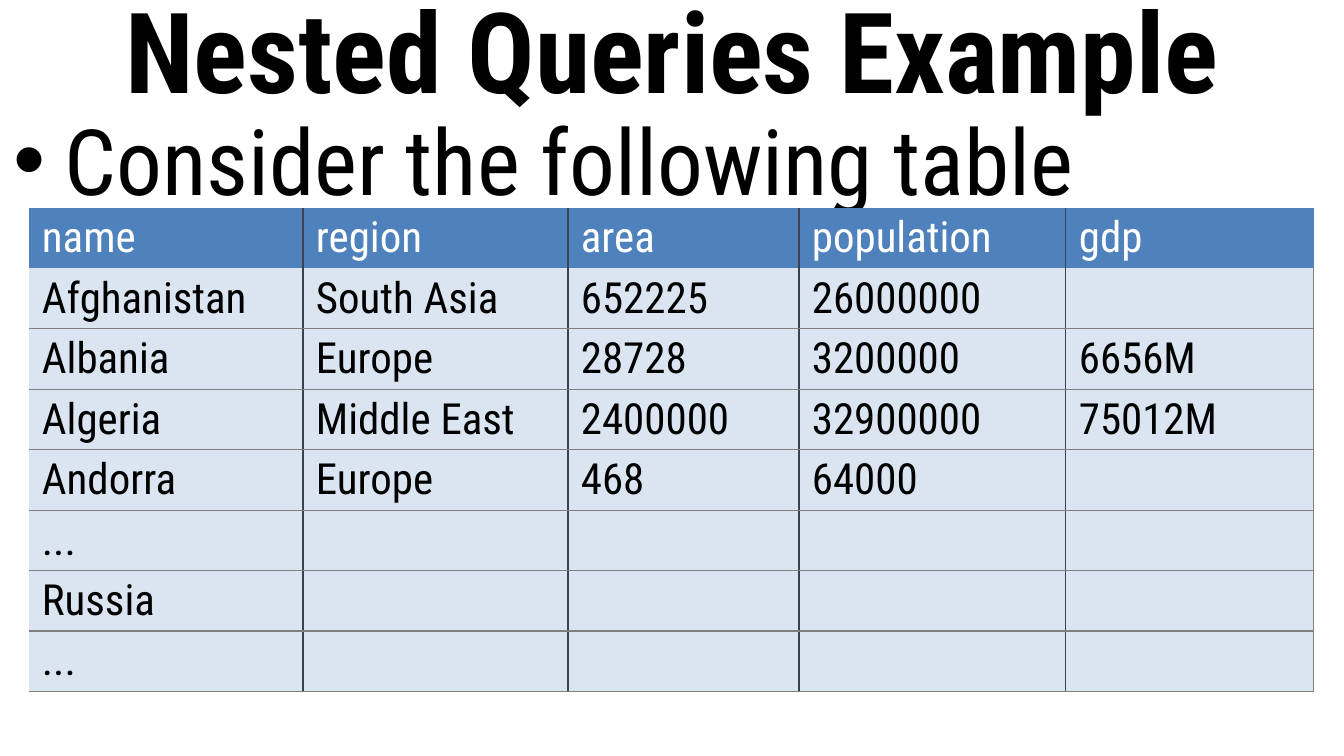
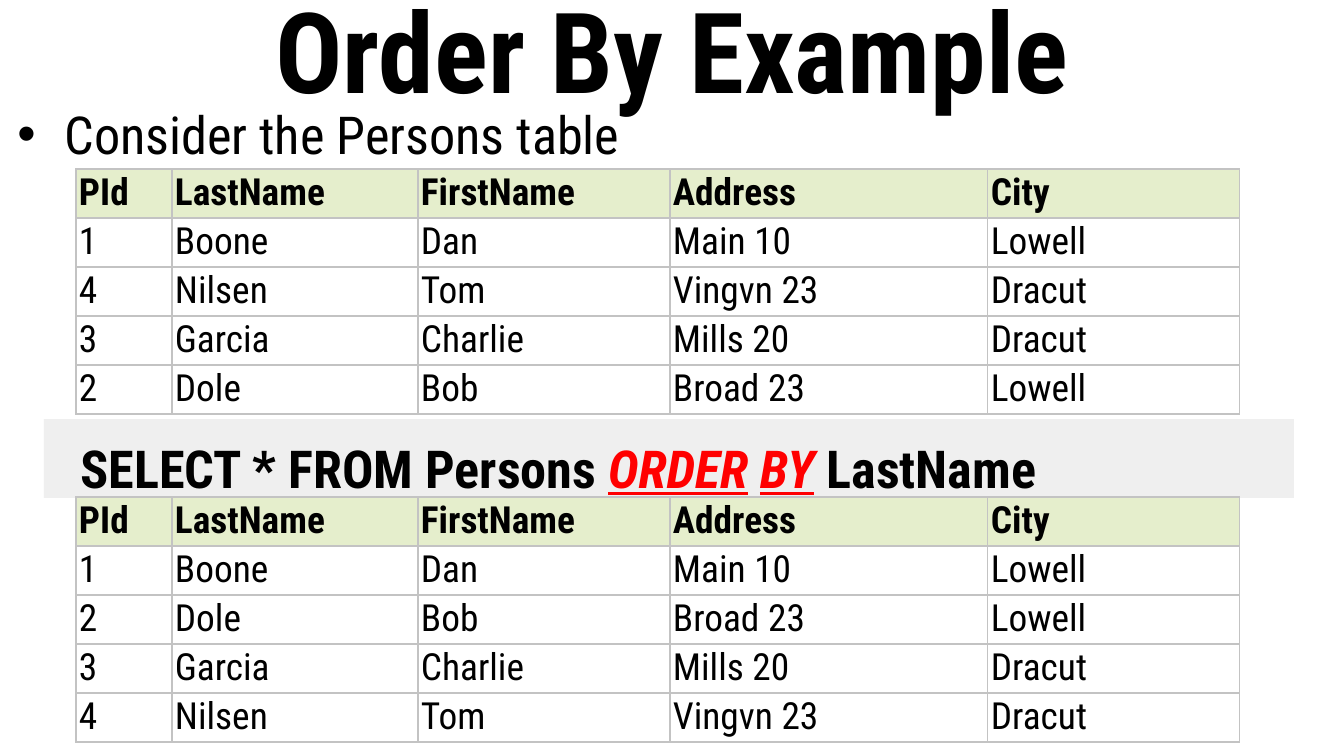
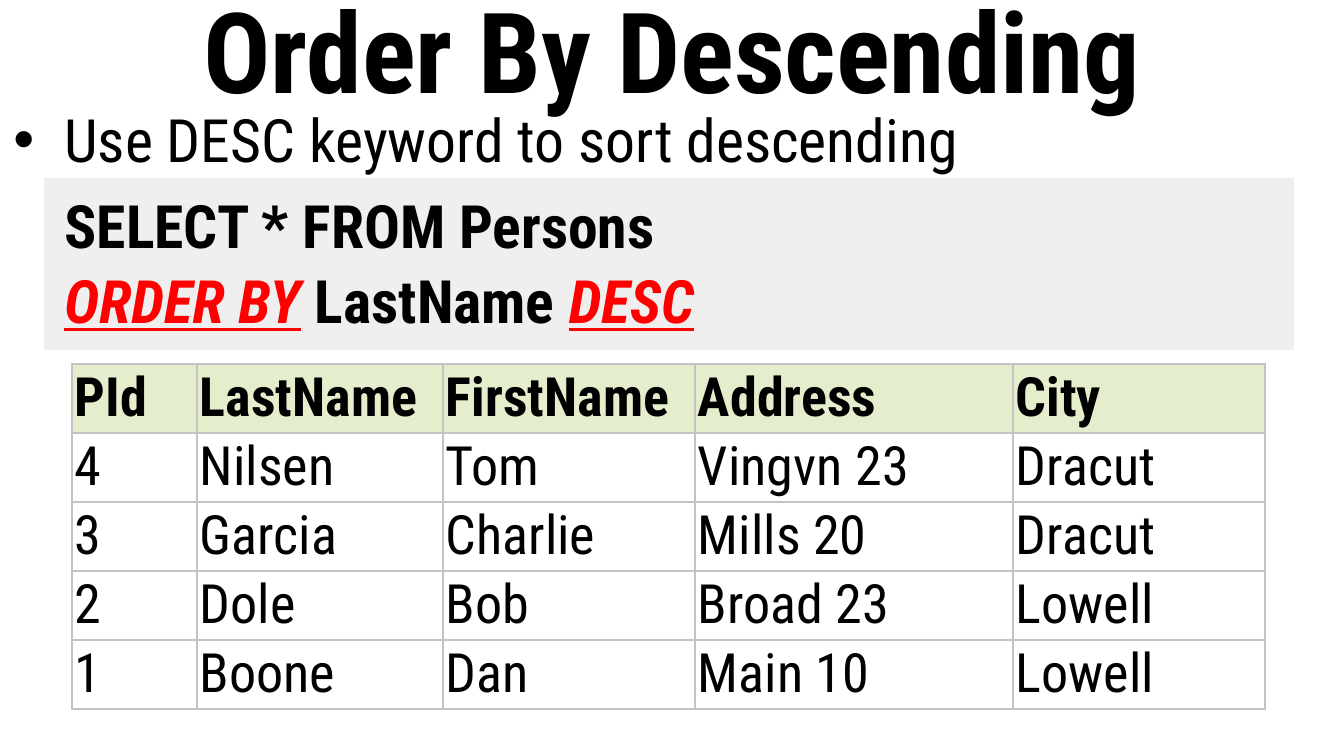
from dataclasses import dataclass
from typing import NamedTuple

from pptx import Presentation
from pptx.dml.color import RGBColor as Rgb
from pptx.enum.shapes import MSO_SHAPE as Shape
from pptx.enum.text import MSO_ANCHOR as Anchor, MSO_AUTO_SIZE as Fit, PP_ALIGN as Align
from pptx.oxml.ns import qn
from pptx.oxml.xmlchemy import OxmlElement as Node
from pptx.util import Emu, Pt

# Shared look
HUES = {
    "ink": "000000", "paper": "FFFFFF", "bar": "EFEFEF", "key": "FF0000",
    "blue": "4F81BD", "pale": "DAE5F1", "dark": "3B434E", "gray": "808080",
    "lime": "E5EECC", "rule": "C3C3C3",
}
FONT = "Roboto Condensed"
SCALE = 914400 / 134.4
WIDE, HIGH, HEAD = 1344, 756, 93
INDENT = 51
LEAD = 1.04
PLAIN = "{2D5ABB26-0587-4C30-8999-92F81FD0307C}"


class Span(NamedTuple):
    text: str
    key: bool = False
    line: bool = True


@dataclass
class Look:
    """Format of one kind of table."""
    size: int
    row: int
    pad: tuple[int, int]
    top: str
    body: str
    ink: str
    bold: bool
    anchor: Anchor
    grid: bool


@dataclass
class Grid:
    """One table: place, columns and rows, header first."""
    left: int
    top: int
    cols: list[int]
    rows: list[tuple[str, ...]]
    look: Look


def px(num: float) -> Emu:
    return Emu(round(num * SCALE))


def tint(name: str) -> Rgb:
    return Rgb.from_string(HUES[name])


def write(para, text: str, *, size: int, hue: str = "ink", bold: bool = False,
          slant: bool = False, line: bool = False) -> None:
    run = para.add_run()
    run.text = text
    font = run.font
    font.name, font.size, font.bold = FONT, Pt(size), bold
    font.italic, font.underline = slant, line
    font.color.rgb = tint(hue)


def place(shape, top: int, high: int) -> None:
    shape.left, shape.top = px(0), px(top)
    shape.width, shape.height = px(WIDE), px(high)
    shape.text_frame.auto_size = Fit.NONE


def style(para, left: int, first: int, before: float, dot: bool) -> None:
    """Set spacing and indent, with or without a bullet."""
    para.line_spacing, para.space_before = LEAD, Pt(before)
    prop = para._p.get_or_add_pPr()
    prop.set("marL", str(px(left)))
    prop.set("indent", str(px(first)))
    if not dot:
        prop.append(Node("a:buNone"))
        return
    color, fill, mark = Node("a:buClr"), Node("a:srgbClr"), Node("a:buChar")
    fill.set("val", HUES["ink"])
    color.append(fill)
    mark.set("char", "•")
    prop.extend([color, mark])


def start(deck, title: str, text: str, size: int, first: int):
    """Add a slide with its title and one bullet."""
    slide = deck.slides.add_slide(deck.slide_layouts[1])
    head, body = slide.shapes.title, slide.placeholders[1]
    place(head, 0, HEAD)
    head.text_frame.vertical_anchor = Anchor.MIDDLE
    para = head.text_frame.paragraphs[0]
    para.alignment, para.line_spacing = Align.CENTER, LEAD
    write(para, title, size=60, bold=True)
    place(body, HEAD, HIGH - HEAD)
    para = body.text_frame.paragraphs[0]
    style(para, INDENT, -first, 0, True)
    write(para, text, size=size)
    return slide


def query(slide, top: int, high: int, lines: list[list[Span]], *,
          size: int, left: int, before: float) -> None:
    """Draw a gray bar behind the body and write the query in the body."""
    bar = slide.shapes.add_shape(Shape.RECTANGLE, px(44), px(top), px(1250), px(high))
    bar.shadow.inherit = False
    bar.fill.solid()
    bar.fill.fore_color.rgb = tint("bar")
    bar.line.fill.background()
    slide.shapes.title.element.addprevious(bar.element)
    para = slide.placeholders[1].text_frame.add_paragraph()
    style(para, left, 0, before, False)
    for num, spans in enumerate(lines):
        if num:
            para.add_line_break()
        for span in spans:
            write(para, span.text, size=size, bold=True, slant=span.key,
                  line=span.key and span.line, hue="key" if span.key else "ink")


def edge(cell, sides: dict[str, str]) -> None:
    """Put cell borders ahead of the fill, in schema order."""
    prop = cell._tc.get_or_add_tcPr()
    for spot, side in enumerate(s for s in "LRTB" if s in sides):
        line, fill, color = Node(f"a:ln{side}"), Node("a:solidFill"), Node("a:srgbClr")
        line.set("w", str(Pt(0.75)))
        color.set("val", HUES[sides[side]])
        fill.append(color)
        line.append(fill)
        prop.insert(spot, line)


def sides(look: Look, row: int, col: int, last: int) -> dict[str, str]:
    if look.grid:
        return dict.fromkeys("LRTB", "rule")
    out = {}
    if col:
        out["L"] = "dark"
    if col < last:
        out["R"] = "dark"
    elif row:
        out["R"] = "gray"
    if row > 1:
        out["T"] = "gray"
    if row:
        out["B"] = "gray"
    return out


def draw(slide, grid: Grid) -> None:
    look, cols, rows = grid.look, grid.cols, grid.rows
    frame = slide.shapes.add_table(
        len(rows), len(cols), px(grid.left), px(grid.top),
        px(sum(cols)), px(look.row * len(rows)))
    frame.element.find(".//" + qn("a:tableStyleId")).text = PLAIN
    table = frame.table
    table.horz_banding = False
    for col, wide in zip(table.columns, cols):
        col.width = px(wide)
    for r, texts in enumerate(rows):
        table.rows[r].height = px(look.row)
        for c, text in enumerate(texts):
            cell = table.cell(r, c)
            cell.margin_left = cell.margin_right = px(look.pad[0])
            cell.margin_top = cell.margin_bottom = px(look.pad[1])
            cell.vertical_anchor = look.anchor
            cell.fill.solid()
            cell.fill.fore_color.rgb = tint(look.body if r else look.top)
            edge(cell, sides(look, r, c, len(cols) - 1))
            if text:
                write(cell.text_frame.paragraphs[0], text, size=look.size,
                      hue="ink" if r else look.ink, bold=look.bold and not r)


def lime(size: int, row: int) -> Look:
    return Look(size, row, (3, 2), "lime", "paper", "ink", True, Anchor.TOP, True)


# Data
LANDS = [
    ("name", "region", "area", "population", "gdp"),
    ("Afghanistan", "South Asia", "652225", "26000000", ""),
    ("Albania", "Europe", "28728", "3200000", "6656M"),
    ("Algeria", "Middle East", "2400000", "32900000", "75012M"),
    ("Andorra", "Europe", "468", "64000", ""),
    *((name, "", "", "", "") for name in ("...", "Russia", "...")),
]
FIELDS = ("PId", "LastName", "FirstName", "Address", "City")
FOLK = [
    ("1", "Boone", "Dan", "Main 10", "Lowell"),
    ("4", "Nilsen", "Tom", "Vingvn 23", "Dracut"),
    ("3", "Garcia", "Charlie", "Mills 20", "Dracut"),
    ("2", "Dole", "Bob", "Broad 23", "Lowell"),
]
RANKED = sorted(FOLK, key=lambda one: one[1])
REST = [246, 252, 318, 252]

deck = Presentation()
deck.slide_width, deck.slide_height = px(WIDE), px(HIGH)

# Slide 1: nested queries
slide = start(deck, "Nested Queries Example", "Consider the following table", 49, 66)
blue = Look(23, 60, (13, 5), "blue", "pale", "paper", False, Anchor.MIDDLE, False)
draw(slide, Grid(29, 208, [274, 265, 231, 267, 248], LANDS, blue))

# Slide 2: order by
slide = start(deck, "Order By Example", "Consider the Persons table", 28, 47)
query(slide, 419, 79, [[
    Span("SELECT * FROM Persons "), Span("ORDER", True), Span(" ", True, False),
    Span("BY", True), Span(" LastName"),
]], size=28, left=67, before=144)
for top, folk in ((497, RANKED), (169, FOLK)):
    draw(slide, Grid(76, top, [96, *REST], [FIELDS, *folk], lime(20, 49)))

# Slide 3: order by, descending
slide = start(deck, "Order By Descending", "Use DESC keyword to sort descending", 32, 51)
query(slide, 178, 172, [
    [Span("SELECT * FROM Persons")],
    [Span("ORDER BY", True), Span(" LastName "), Span("DESC", True)],
], size=32, left=INDENT, before=6.4)
draw(slide, Grid(72, 364, [125, *REST], [FIELDS, *reversed(RANKED)], lime(29, 69)))

deck.save("out.pptx")
